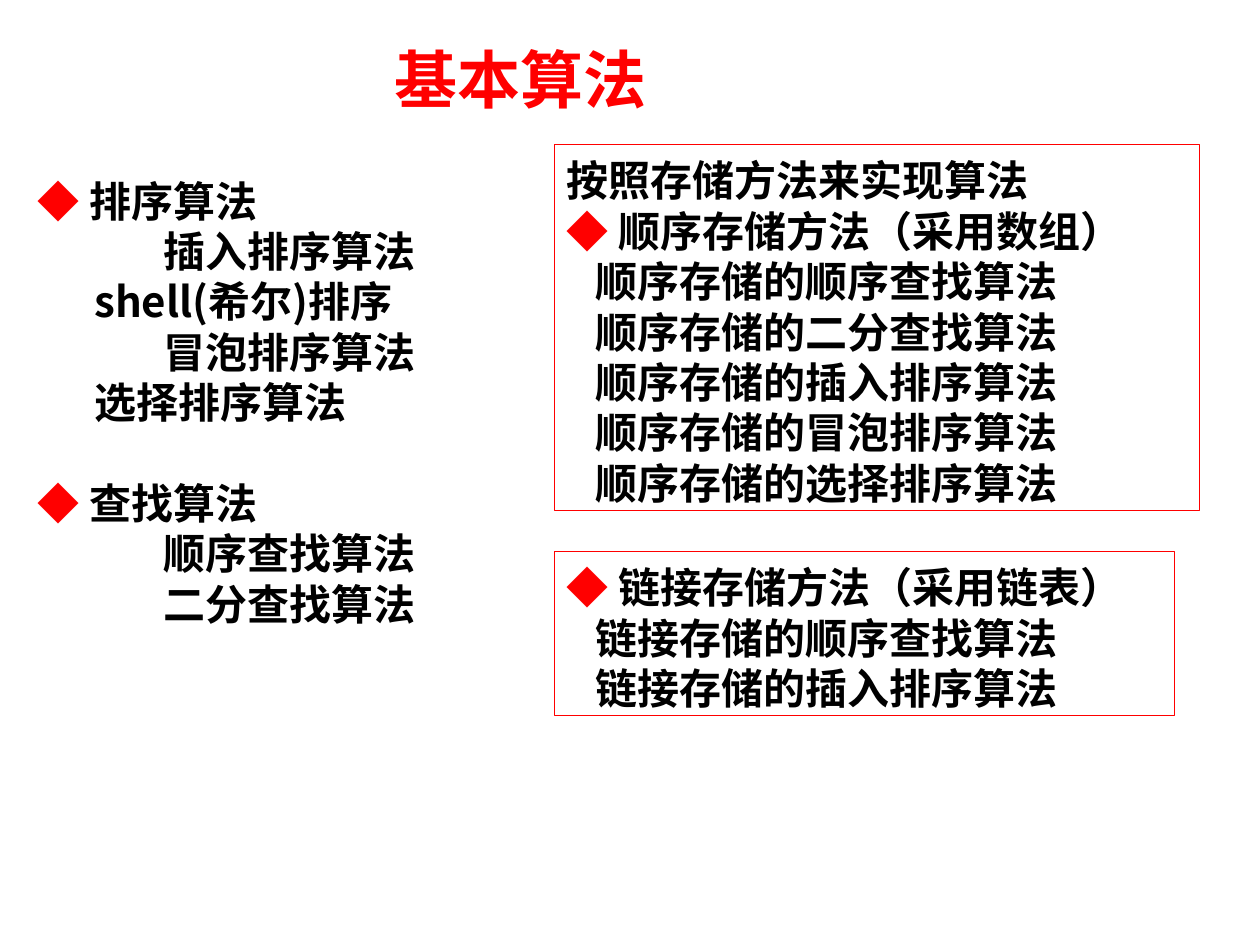
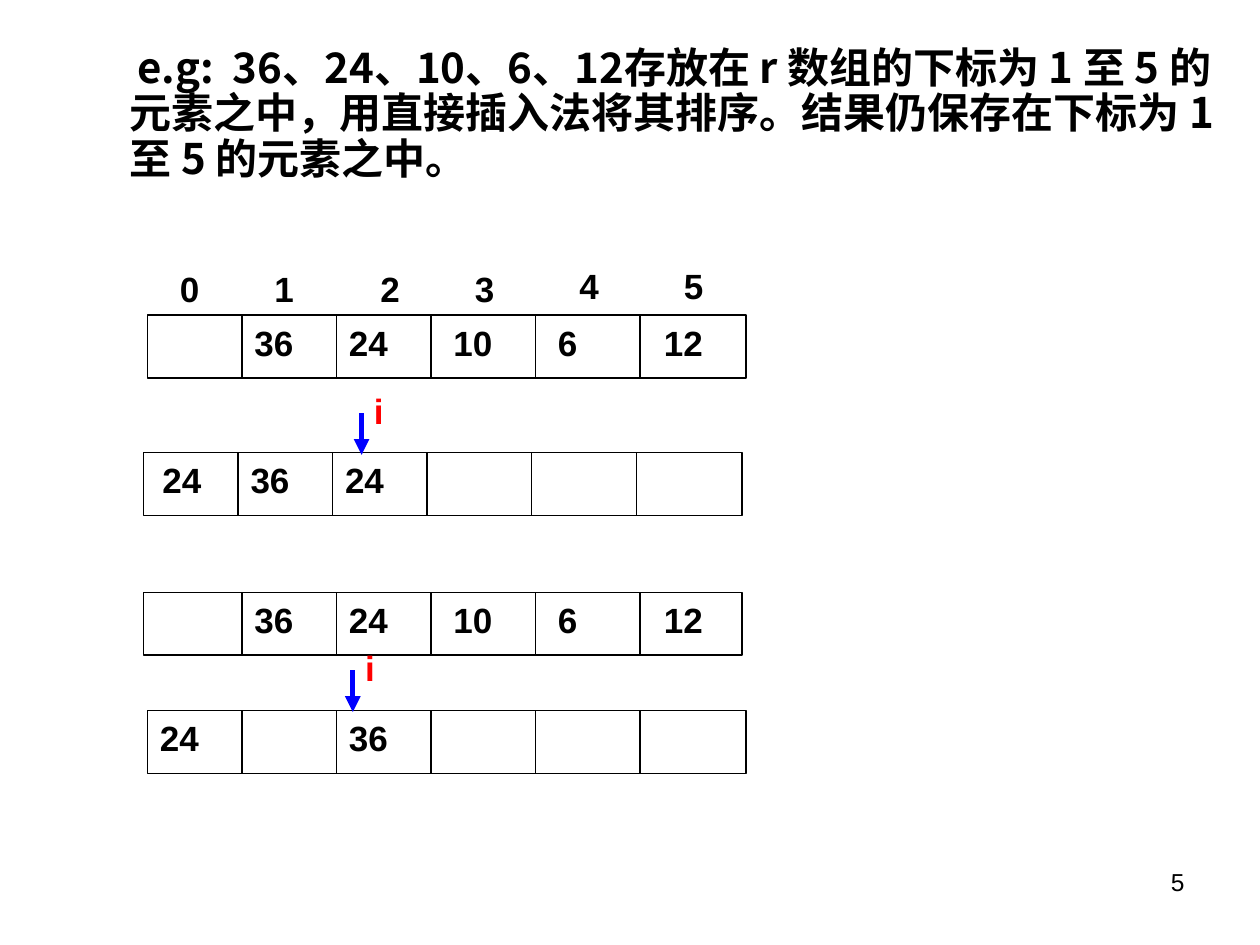
from pptx import Presentation
from pptx.dml.color import RGBColor
from pptx.enum import shapes, text
from pptx.oxml import ns, xmlchemy
from pptx.util import Inches, Pt

RED = RGBColor(0xFF, 0x00, 0x00)
BLUE = RGBColor(0x00, 0x00, 0xFF)
BLACK = RGBColor(0x00, 0x00, 0x00)
WHITE = RGBColor(0xFF, 0xFF, 0xFF)
HAN_FONT = "Noto Sans CJK SC"
LATIN_FONT = "Arial"
MARKER = "◆"
LINE_PITCH = 28.8


def write(box, lines, *, size=20, font=LATIN_FONT, color=BLACK, bold=True,
          align=text.PP_ALIGN.LEFT, anchor=text.MSO_ANCHOR.TOP,
          pitch=None, top_inset=0.05):
    """Fill box with (text, indent in inches, points before) lines; markers turn red."""
    frame = box.text_frame
    frame.word_wrap = True
    frame.vertical_anchor = anchor
    frame.margin_left = frame.margin_right = Inches(0.1)
    frame.margin_top, frame.margin_bottom = Inches(top_inset), Inches(0.05)
    for number, (content, indent, before) in enumerate(lines):
        para = frame.add_paragraph() if number else frame.paragraphs[0]
        para.alignment = align
        para.space_before = Pt(before)
        if pitch:
            para.line_spacing = Pt(pitch)
        if indent:
            properties = para._p.get_or_add_pPr()
            properties.set("marL", str(Inches(indent)))
            properties.set("indent", "0")
        pieces = [(content, color)]
        if content.startswith(MARKER):
            pieces = [(MARKER, RED), (content[1:], color)]
        for piece, piece_color in pieces:
            span = para.add_run()
            span.text = piece
            span.font.name, span.font.size, span.font.bold = font, Pt(size), bold
            span.font.color.rgb = piece_color
            east_asian = xmlchemy.OxmlElement("a:ea")
            east_asian.set("typeface", font)
            span._r.rPr.find(ns.qn("a:latin")).addnext(east_asian)


def add_text(page, content, left, top, width, height, **style):
    box = page.shapes.add_textbox(Inches(left), Inches(top), Inches(width), Inches(height))
    lines = [(content, 0, 0)] if isinstance(content, str) else content
    write(box, lines, **style)


deck = Presentation()
deck.slide_width, deck.slide_height = Inches(10), Inches(7.5)

# Slide 1: overview of the algorithms
page = deck.slides.add_slide(deck.slide_layouts[5])
title = page.shapes.title
title.left, title.top = Inches(1.38), Inches(0.28)
title.width, title.height = Inches(5.51), Inches(0.69)
write(title, [("基本算法", 0, 0)], size=36, font=HAN_FONT, color=RED,
      align=text.PP_ALIGN.CENTER, anchor=text.MSO_ANCHOR.MIDDLE)

list_style = dict(size=24, font=HAN_FONT, pitch=LINE_PITCH, top_inset=0.08)
algorithms = [
    ("◆ 排序算法", 0, 0),
    ("插入排序算法", 1, 0),
    ("shell(希尔)排序", 0.45, 0),
    ("冒泡排序算法", 1, 0),
    ("选择排序算法", 0.45, 0),
    ("◆ 查找算法", 0, LINE_PITCH),
    ("顺序查找算法", 1, 0),
    ("二分查找算法", 1, 0),
]
add_text(page, algorithms, 0.2, 1.31, 3.78, 4.1, **list_style)

storage_boxes = [
    (1.15, 5.12, 2.9, ["按照存储方法来实现算法", "◆ 顺序存储方法（采用数组）"],
     "顺序", ["顺序查找", "二分查找", "插入排序", "冒泡排序", "选择排序"]),
    (4.38, 4.92, 1.3, ["◆ 链接存储方法（采用链表）"], "链接", ["顺序查找", "插入排序"]),
]
for top, width, height, headings, storage, methods in storage_boxes:
    box = page.shapes.add_shape(shapes.MSO_SHAPE.RECTANGLE, Inches(4.4), Inches(top),
                                Inches(width), Inches(height))
    box.shadow.inherit = False
    box.fill.background()
    box.line.color.rgb, box.line.width = RED, Pt(0.75)
    lines = [(heading, 0, 0) for heading in headings]
    lines += [(f"{storage}存储的{method}算法", 0.23, 0) for method in methods]
    write(box, lines, **list_style)

# Slide 2: insertion sort example
page = deck.slides.add_slide(deck.slide_layouts[6])
add_text(page, "5", 7.17, 6.83, 2.33, 0.52, size=14, bold=False, align=text.PP_ALIGN.RIGHT)
task = ("e.g:  36、24、10、6、12存放在 r 数组的下标为 1 至 5 的元素之中，"
        "用直接插入法将其排序。结果仍保存在下标为 1 至 5 的元素之中。")
task_box = page.shapes.add_textbox(0, Inches(0.28), Inches(9.75), Inches(1.18))
write(task_box, [(task, 0.93, 0)], size=24, font=HAN_FONT,
      pitch=LINE_PITCH * 0.9, top_inset=0.09)
task_box.text_frame.paragraphs[0]._p.pPr.set("indent", str(Inches(0.06)))

ARRAY_LEFT = 1.17
DIVIDERS = [0.75, 1.5, 2.25, 3.08, 3.91]
VALUE_OFFSETS = [0, 0.75, 1.5, 2.33, 3.16, 4]
INDEX_OFFSETS = [0.16, 0.91, 1.75, 2.5, 3.33, 4.16]
START = ["", "36", "24", "10", "6", "12"]
# frame left, cells left, top, shift of the first value, values
arrays = [
    (1.17, 1.17, 2.5, 0, START),
    (1.14, 1.14, 3.59, 0.05, ["24", "36", "24"]),
    (1.14, 1.17, 4.7, 0, START),
    (1.17, 1.17, 5.64, 0, ["24", "", "36"]),
]
for index, offset in enumerate(INDEX_OFFSETS):
    add_text(page, str(index), ARRAY_LEFT + offset, 2.07 if index < 4 else 2.05, 0.33, 0.44)

segments = []
for frame_left, left, top, shift, values in arrays:
    frame = page.shapes.add_shape(shapes.MSO_SHAPE.RECTANGLE, Inches(frame_left), Inches(top),
                                  Inches(4.75), Inches(0.5))
    frame.shadow.inherit = False
    frame.fill.solid()
    frame.fill.fore_color.rgb = WHITE
    frame.line.color.rgb, frame.line.width = BLACK, Pt(0.75)
    segments += [(left + offset, top, top + 0.5, BLACK, 0.75) for offset in DIVIDERS]
    for column, (value, offset) in enumerate(zip(values, VALUE_OFFSETS)):
        if value:
            value_left = left + offset + (0 if column else shift)
            add_text(page, value, value_left, top, 0.67, 0.44)

for pointer_x, pointer_top in [(2.87, 3.28), (2.8, 5.32)]:
    segments.append((pointer_x, pointer_top, pointer_top + 0.33, BLUE, 3))
    add_text(page, "i", pointer_x, pointer_top - 0.24, 0.33, 0.44, color=RED)

for x, top, bottom, color, width in segments:
    line = page.shapes.add_connector(shapes.MSO_CONNECTOR.STRAIGHT, Inches(x), Inches(top),
                                     Inches(x), Inches(bottom))
    line.line.color.rgb, line.line.width = color, Pt(width)
    line._element.spPr.append(xmlchemy.OxmlElement("a:effectLst"))
    if color == BLUE:
        arrowhead = xmlchemy.OxmlElement("a:tailEnd")
        arrowhead.set("type", "triangle")
        line.line._get_or_add_ln().append(arrowhead)

deck.save("out.pptx")
